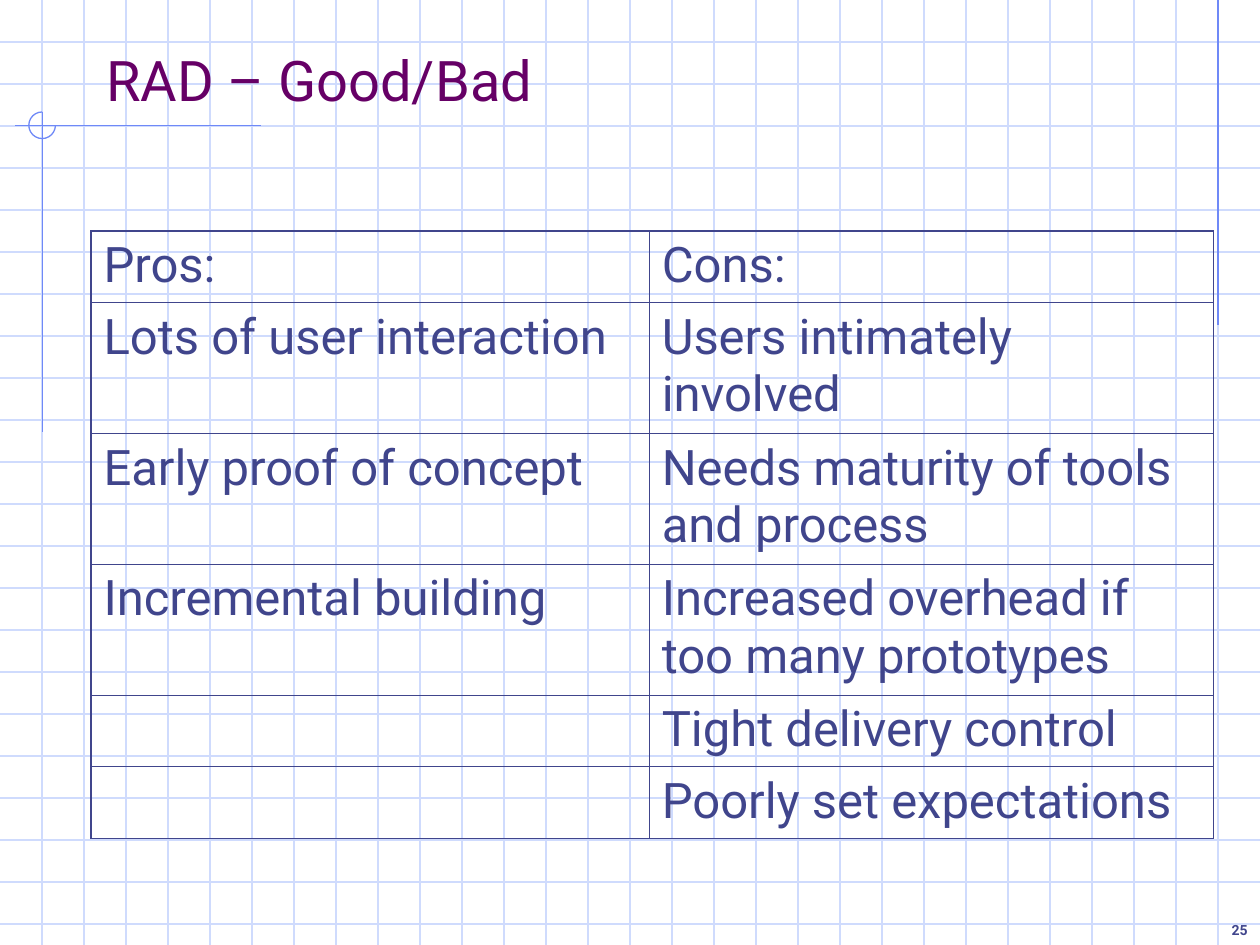
from lxml.etree import SubElement
from pptx import Presentation
from pptx.dml.color import RGBColor
from pptx.enum.shapes import MSO_CONNECTOR, MSO_SHAPE
from pptx.enum.text import MSO_ANCHOR, MSO_AUTO_SIZE, PP_ALIGN
from pptx.oxml.ns import qn
from pptx.util import Pt

GRID = RGBColor(0xCF, 0xDB, 0xFD)
ACCENT = RGBColor(0x6F, 0x89, 0xF7)
PLUM = RGBColor(0x66, 0x00, 0x66)
INDIGO = RGBColor(0x40, 0x45, 0x8C)

WIDTH, HEIGHT, STEP = 720, 540, 24
ROWS = [
    ("Pros:", "Cons:"),
    ("Lots of user interaction", "Users intimately involved"),
    ("Early proof of concept", "Needs maturity of tools and process"),
    ("Incremental building", "Increased overhead if too many prototypes"),
    ("", "Tight delivery control"),
    ("", "Poorly set expectations"),
]
COL_WIDTHS = [319, 322.5]
ROW_HEIGHTS = [41, 74.7, 74.7, 74.7, 41, 41]


class SlideBuilder:
    font = "Roboto"
    thin = 0.75
    inner_border = 0.45
    outer_border = 1.08

    def __init__(self, s):
        self.s = s

    def style(self, p, size, color, bold=False, align=PP_ALIGN.LEFT):
        p.alignment = align
        p.font.name = self.font
        p.font.size = Pt(size)
        p.font.bold = bold
        p.font.color.rgb = color

    def line(self, x1, y1, x2, y2, color):
        cxn = self.s.shapes.add_connector(
            MSO_CONNECTOR.STRAIGHT, Pt(x1), Pt(y1), Pt(x2), Pt(y2))
        cxn.line.color.rgb = color
        cxn.line.width = Pt(self.thin)
        SubElement(cxn.element.spPr, qn("a:effectLst"))

    def grid(self):
        for y in range(STEP, HEIGHT, STEP):
            self.line(0, y, WIDTH, y, GRID)
        for x in range(STEP, WIDTH, STEP):
            self.line(x, 0, x, HEIGHT, GRID)

    def arc(self, x, y, size, color):
        sp = self.s.shapes.add_shape(MSO_SHAPE.ARC, Pt(x), Pt(y), Pt(size), Pt(size))
        sp.adjustments[0] = 0
        sp.adjustments[1] = 162
        sp.shadow.inherit = False
        sp.fill.background()
        sp.line.color.rgb = color
        sp.line.width = Pt(self.thin)

    def title(self, text, x, y, w, h):
        sp = self.s.shapes.title
        sp.left, sp.top, sp.width, sp.height = Pt(x), Pt(y), Pt(w), Pt(h)
        sp.element.getparent().append(sp.element)
        tf = sp.text_frame
        tf.text = text
        tf.auto_size = MSO_AUTO_SIZE.NONE
        tf.vertical_anchor = MSO_ANCHOR.BOTTOM
        self.style(tf.paragraphs[0], 32, PLUM)

    def border(self, cell, side, width):
        ln = SubElement(cell._tc.get_or_add_tcPr(), qn(f"a:ln{side}"), w=str(Pt(width)))
        fill = SubElement(ln, qn("a:solidFill"))
        SubElement(fill, qn("a:srgbClr"), val=str(INDIGO))

    def table(self, rows, x, y, col_widths, row_heights):
        frame = self.s.shapes.add_table(
            len(rows), len(col_widths), Pt(x), Pt(y),
            Pt(sum(col_widths)), Pt(sum(row_heights)))
        tbl = frame.table
        tbl.first_row = tbl.horz_banding = False
        for col, width in zip(tbl.columns, col_widths):
            col.width = Pt(width)
        for row, height in zip(tbl.rows, row_heights):
            row.height = Pt(height)
        for i, texts in enumerate(rows):
            for j, text in enumerate(texts):
                cell = tbl.cell(i, j)
                edges = {"L": j == 0, "R": j == len(texts) - 1,
                         "T": i == 0, "B": i == len(rows) - 1}
                for side, outer in edges.items():
                    self.border(cell, side, self.outer_border if outer else self.inner_border)
                cell.fill.background()
                cell.text = text
                self.style(cell.text_frame.paragraphs[0], 28, INDIGO)

    def page_number(self, text, x, y, w, h):
        tf = self.s.shapes.add_textbox(Pt(x), Pt(y), Pt(w), Pt(h)).text_frame
        tf.word_wrap = True
        tf.vertical_anchor = MSO_ANCHOR.BOTTOM
        tf.text = text
        self.style(tf.paragraphs[0], 8, INDIGO, bold=True, align=PP_ALIGN.RIGHT)


def main():
    prs = Presentation()
    prs.slide_width, prs.slide_height = Pt(WIDTH), Pt(HEIGHT)
    b = SlideBuilder(prs.slides.add_slide(prs.slide_layouts[5]))
    b.grid()
    b.line(696, 0, 696, 186, ACCENT)
    b.line(149, 71.7, 8.6, 71.7, ACCENT)
    b.line(24.2, 64, 24.2, 247, ACCENT)
    b.arc(16.5, 64, 15.2, ACCENT)
    b.title("RAD – Good/Bad", 53.5, 24, 612, 44)
    b.table(ROWS, 52, 132, COL_WIDTHS, ROW_HEIGHTS)
    b.page_number("25", 686, 518.4, 34, 21.6)
    prs.save("out.pptx")


if __name__ == "__main__":
    main()
